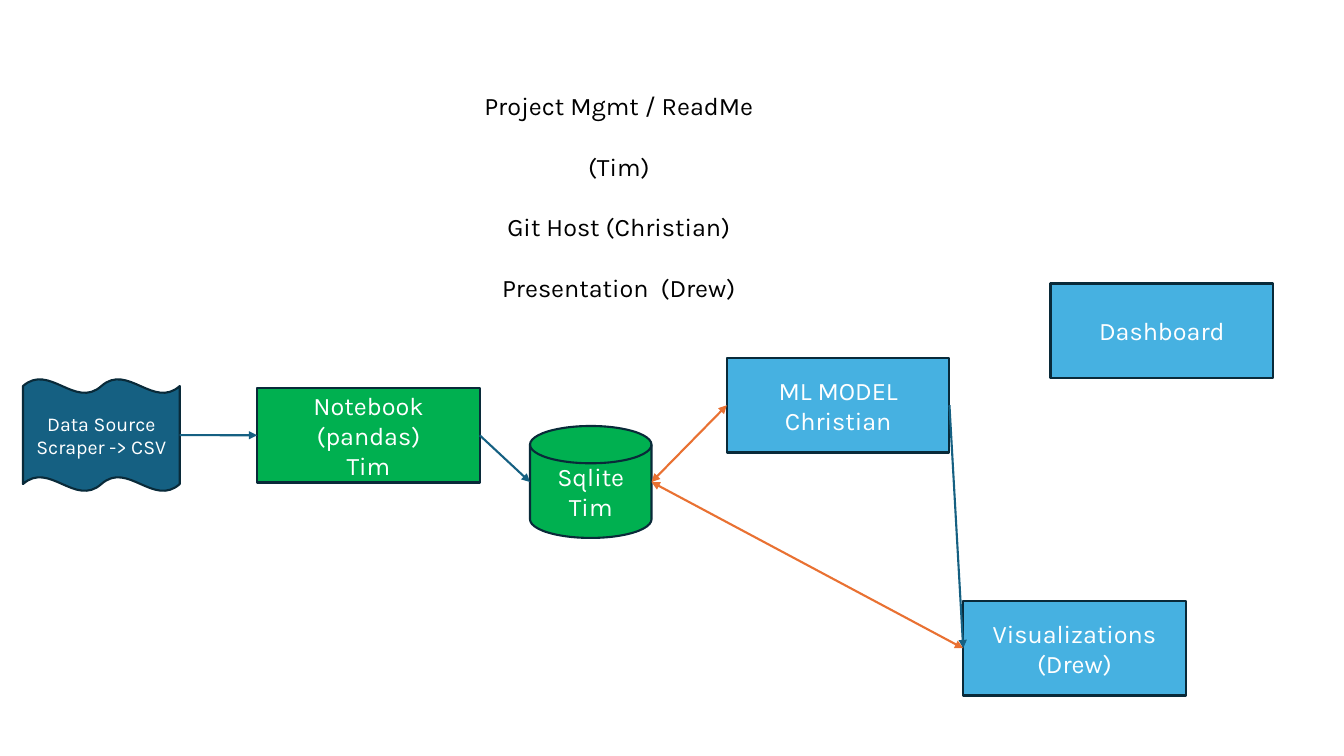
from pptx import Presentation
from pptx.dml.color import RGBColor
from pptx.enum.shapes import MSO_CONNECTOR, MSO_SHAPE
from pptx.enum.text import MSO_ANCHOR, MSO_AUTO_SIZE, PP_ALIGN
from pptx.oxml.ns import qn
from pptx.util import Pt
from lxml import etree

RECT = MSO_SHAPE.RECTANGLE
DISK = MSO_SHAPE.FLOWCHART_MAGNETIC_DISK
WAVE = MSO_SHAPE.DOUBLE_WAVE
LINE = MSO_CONNECTOR.STRAIGHT
CENTER = PP_ALIGN.CENTER
MIDDLE, TOP = MSO_ANCHOR.MIDDLE, MSO_ANCHOR.TOP
GROW = MSO_AUTO_SIZE.SHAPE_TO_FIT_TEXT
LEFT, RIGHT = 1, 3

# Content
ROLES = [
    "Project Mgmt / ReadMe\v(Tim)",
    "Git Host (Christian)",
    "Presentation  (Drew)",
]
ROLE_BOX = (314.6, 39.6, 254.9, 132.5)

# name: (kind, left, top, fill, text size, lines)
NODES = {
    "store": (DISK, 378.6, 304.3, "done", "body", ["Sqlite", "Tim"]),
    "model": (RECT, 519.2, 255.7, "todo", "body", ["ML MODEL", "Christian"]),
    "data": (WAVE, 16.4, 270.8, "data", "small",
             ["Data Source", "Scraper -> CSV"]),
    "book": (RECT, 183.7, 277.2, "done", "body",
             ["Notebook", "(pandas)", "Tim"]),
    "charts": (RECT, 688, 429.3, "todo", "body",
               ["Visualizations", "(Drew)"]),
    "board": (RECT, 750.4, 202.5, "todo", "body", ["Dashboard"]),
}
SIZES = {RECT: (159, 67.5), DISK: (86.8, 80), WAVE: (112, 80)}

# (from, to, colour, arrowhead at both ends)
LINKS = [
    ("store", "model", "both", True),
    ("data", "book", "data", False),
    ("book", "store", "data", False),
    ("model", "charts", "data", False),
    ("store", "charts", "both", True),
]

THEME = {
    "font": "Karla", "body": 18, "small": 14, "line": 1.5,
    "done": "00B050", "todo": "46B1E1", "data": "156082",
    "both": "E97132", "edge": "092A39", "light": "FFFFFF", "dark": "000000",
}


def color(key):
    return RGBColor.from_string(THEME[key])


def write(frame, lines, size="body", ink="light", anchor=MIDDLE, space=None):
    frame.word_wrap = True
    frame.vertical_anchor = anchor
    for i, line in enumerate(lines):
        para = frame.add_paragraph() if i else frame.paragraphs[0]
        para.text = line
        para.alignment = CENTER
        para.line_spacing = space
        for run in para.runs:
            run.font.name = THEME["font"]
            run.font.size = Pt(THEME[size])
            run.font.color.rgb = color(ink)


def add_node(slide, kind, left, top, fill, size, lines):
    width, height = SIZES[kind]
    node = slide.shapes.add_shape(kind, Pt(left), Pt(top),
                                  Pt(width), Pt(height))
    node.shadow.inherit = False
    node.fill.solid()
    node.fill.fore_color.rgb = color(fill)
    node.line.color.rgb = color("edge")
    node.line.width = Pt(THEME["line"])
    write(node.text_frame, lines, size)
    return node


def add_link(slide, start, end, ink, both):
    # Run from the right side of one node to the left side of the next
    link = slide.shapes.add_connector(
        LINE, start.left + start.width, start.top + start.height // 2,
        end.left, end.top + end.height // 2)
    if start.auto_shape_type == RECT:
        link.begin_connect(start, RIGHT)
    if end.auto_shape_type == RECT:
        link.end_connect(end, LEFT)
    link.line.color.rgb = color(ink)
    link.line.width = Pt(THEME["line"])
    props = link.line._get_or_add_ln()
    for tag in ["a:headEnd", "a:tailEnd"] if both else ["a:tailEnd"]:
        etree.SubElement(props, qn(tag), type="triangle")
    etree.SubElement(link._element.spPr, qn("a:effectLst"))


def main():
    deck = Presentation()
    deck.slide_width, deck.slide_height = Pt(960), Pt(540)
    slide = deck.slides.add_slide(deck.slide_layouts[6])

    # Roles
    box = slide.shapes.add_textbox(*map(Pt, ROLE_BOX))
    write(box.text_frame, ROLES, ink="dark", anchor=TOP, space=2.0)
    box.text_frame.auto_size = GROW

    # Flow
    nodes = {name: add_node(slide, *node) for name, node in NODES.items()}
    for start, end, ink, both in LINKS:
        add_link(slide, nodes[start], nodes[end], ink, both)

    deck.save("out.pptx")


if __name__ == "__main__":
    main()
